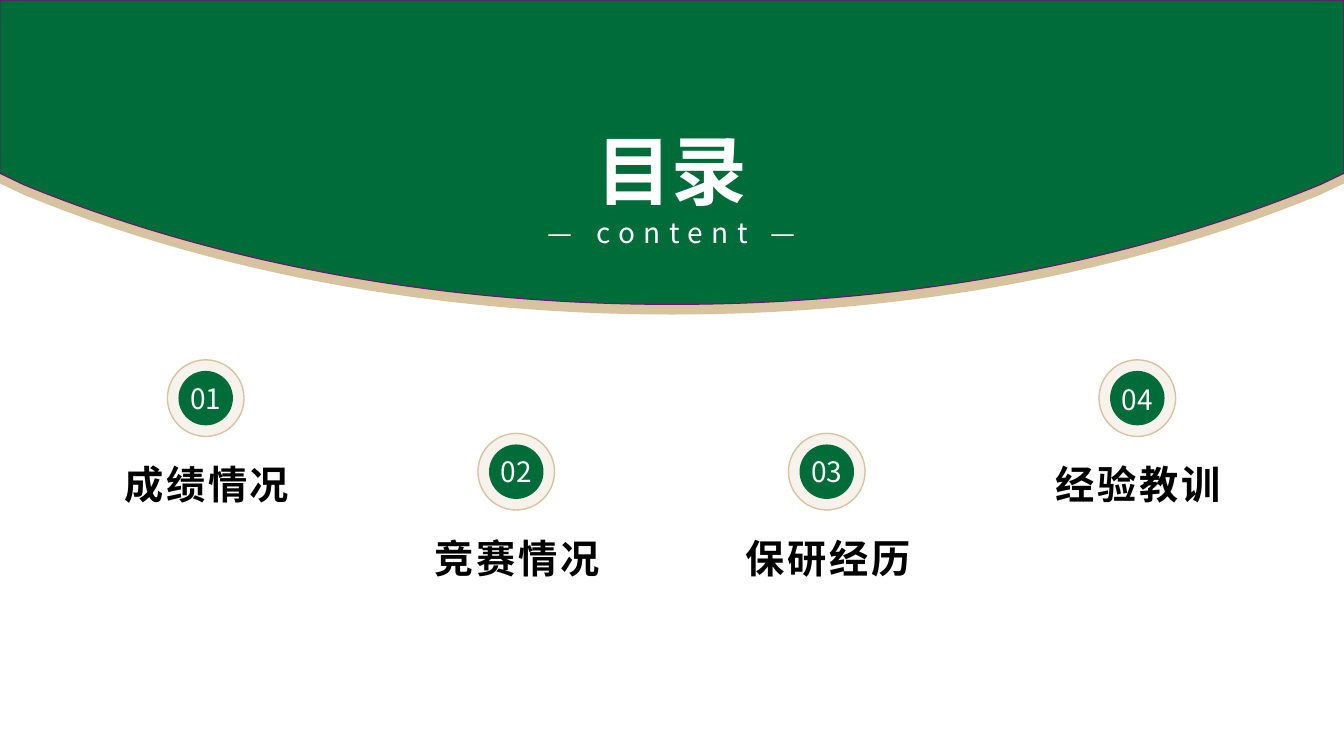
from dataclasses import dataclass

from pptx import Presentation
from pptx.dml.color import RGBColor
from pptx.enum.shapes import MSO_SHAPE as Kind
from pptx.enum.text import MSO_ANCHOR as Anchor, MSO_AUTO_SIZE as Auto, PP_ALIGN as Align
from pptx.oxml.ns import qn
from pptx.util import Inches, Pt
from lxml.etree import SubElement

WIDE, HIGH = 13.33, 7.5


@dataclass(frozen=True)
class Theme:
    font: str = "Noto Sans CJK SC"
    green: str = "006C39"
    gold: str = "D7C39F"
    cream: str = "F7F3EC"
    edge: str = "721071"
    white: str = "FFFFFF"
    black: str = "000000"
    title: int = 54
    label: int = 28
    small: int = 20


def bowl(base):
    """Corners and curve handles of a full-width band that sags to base."""
    right = [(WIDE, 0), (WIDE, base - 1.3), (13.1, base - 1.19),
             (11.28, base - 0.44), (9.06, base)]
    left = [(WIDE - x, y) for x, y in reversed(right)]
    return right + [(WIDE / 2, base)] + left


def bend(path, first):
    """Turn three straight steps, from index first on, into one cubic curve."""
    steps = path[first:first + 3]
    curve = path.makeelement(qn("a:cubicBezTo"), {})
    path.insert(first, curve)
    for step in steps:
        curve.append(step[0])
        path.remove(step)


class Page:
    def __init__(self, slide, theme):
        self.shapes = slide.shapes
        self.theme = theme

    def paint(self, shape, fill, line=None, width=0):
        shape.shadow.inherit = False
        if fill:
            shape.fill.solid()
            shape.fill.fore_color.rgb = RGBColor.from_string(fill)
        else:
            shape.fill.background()
        if line:
            shape.line.color.rgb = RGBColor.from_string(line)
            shape.line.width = Pt(width)
        else:
            shape.line.fill.background()

    def disc(self, x, y, size, fill, line=None):
        box = [Inches(v) for v in (x, y, size, size)]
        shape = self.shapes.add_shape(Kind.OVAL, *box)
        shape.rotation = 45
        self.paint(shape, fill, line, 1)

    def band(self, base, fill, line=None):
        pts = [(Inches(x), Inches(y)) for x, y in bowl(base)]
        form = self.shapes.build_freeform(*pts[-1])
        form.add_line_segments(pts[:-1], close=True)
        shape = form.convert_to_shape()
        path = next(shape._element.iter(qn("a:path")))
        for first in (4, 5):
            bend(path, first)
        self.paint(shape, fill, line)

    def text(self, words, box, size, color, bold=False, gap=0, inset=True,
             middle=False, kind=None):
        """Add centred text; gap is the letter spacing in points."""
        place = [Inches(v) for v in box]
        if kind:
            shape = self.shapes.add_shape(kind, *place)
            self.paint(shape, None)
        else:
            shape = self.shapes.add_textbox(*place)
        frame = shape.text_frame
        frame.word_wrap = True
        frame.auto_size = Auto.NONE if middle else Auto.SHAPE_TO_FIT_TEXT
        frame.vertical_anchor = Anchor.MIDDLE if middle else Anchor.TOP
        if not inset:
            frame.margin_left = frame.margin_right = 0
            frame.margin_top = frame.margin_bottom = 0
        para = frame.paragraphs[0]
        para.alignment = Align.CENTER
        run = para.add_run()
        run.text = words
        font = run.font
        font.size, font.bold, font.name = Pt(size), bold, self.theme.font
        font.color.rgb = RGBColor.from_string(color)
        props = run._r.get_or_add_rPr()
        SubElement(props, qn("a:ea")).set("typeface", self.theme.font)
        if gap:
            props.set("spc", str(gap * 100))

    def topic(self, index, name, top, drop, kind):
        """Add one numbered topic; drop is the number's offset below top."""
        look = self.theme
        x = 1.66 + 3.08 * index
        self.disc(x, top, 0.76, look.cream, look.gold)
        self.disc(x + 0.11, top + 0.11, 0.54, look.green)
        self.text(f"{index + 1:02}", (x + 0.03, top + drop, 0.7, 0.52),
                  look.small, look.white, inset=False, middle=True, kind=kind)
        self.text(name, (0.61 + 3.08 * index, top + 0.95, 2.88, 0.57),
                  look.label, look.black, bold=True, gap=2)


def main():
    deck = Presentation()
    deck.slide_width, deck.slide_height = Inches(WIDE), Inches(HIGH)
    look = Theme()
    page = Page(deck.slides.add_slide(deck.slide_layouts[6]), look)

    page.band(3.12, look.gold)
    page.band(3.02, look.green, look.edge)
    page.text("— content —", (4.2, 2.14, 4.93, 0.34), look.small, look.white,
              gap=6, inset=False)
    page.text("目录", (5.48, 1.23, 2.37, 0.91), look.title, look.white,
              bold=True, inset=False)

    pill = Kind.ROUNDED_RECTANGLE
    topics = [("成绩情况", 3.57, 0.12, None), ("竞赛情况", 4.3, 0.12, pill),
              ("保研经历", 4.3, 0.12, pill), ("经验教训", 3.57, 0.13, pill)]
    for index, row in enumerate(topics):
        page.topic(index, *row)

    deck.save("out.pptx")


if __name__ == "__main__":
    main()
